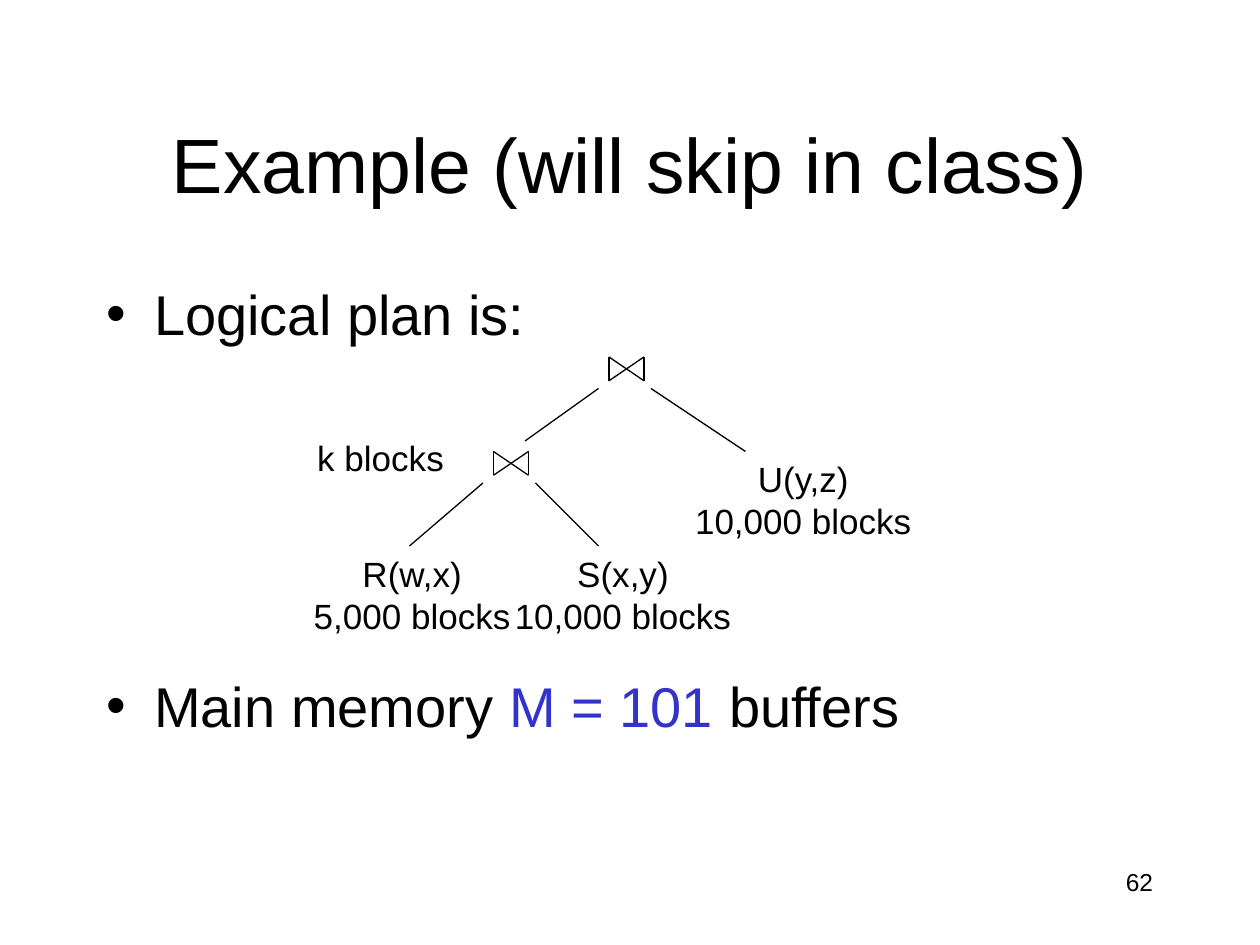
from lxml import etree
from pptx import Presentation
from pptx.dml.color import RGBColor
from pptx.enum.shapes import MSO_CONNECTOR
from pptx.enum.text import MSO_ANCHOR, MSO_AUTO_SIZE, PP_ALIGN
from pptx.oxml.ns import qn
from pptx.util import Pt

BLACK = RGBColor(0x00, 0x00, 0x00)
BLUE = RGBColor(0x33, 0x33, 0xCC)
STRAIGHT = MSO_CONNECTOR.STRAIGHT
LEFT, CENTER, RIGHT = PP_ALIGN.LEFT, PP_ALIGN.CENTER, PP_ALIGN.RIGHT
TOP, MIDDLE = MSO_ANCHOR.TOP, MSO_ANCHOR.MIDDLE
FIT_SHAPE = MSO_AUTO_SIZE.SHAPE_TO_FIT_TEXT


class SlideBuilder:
    font_name = "Arial"
    line_width = 0.75
    bullet_indent = 27
    join_width, join_height = 20, 13.6

    def __init__(self, slide):
        self.slide = slide

    def format_run(self, run, size, color=BLACK):
        run.font.name = self.font_name
        run.font.size = Pt(size)
        run.font.color.rgb = color

    def text(self, box, text, size, align=LEFT, anchor=TOP):
        shape = self.slide.shapes.add_textbox(*map(Pt, box))
        frame = shape.text_frame
        frame.word_wrap = True
        frame.vertical_anchor = anchor
        frame.text = text
        for paragraph in frame.paragraphs:
            paragraph.alignment = align
            for run in paragraph.runs:
                self.format_run(run, size)
        return frame

    def label(self, box, text, size):
        """Centred text in a box that grows with it instead of wrapping."""
        frame = self.text(box, text, size, CENTER)
        frame.word_wrap = False
        frame.auto_size = FIT_SHAPE

    def bullets(self, box, items, size):
        """Each item is (space before, [(text, color), ...])."""
        frame = self.text(box, "", size)
        for index, (space, parts) in enumerate(items):
            paragraph = frame.add_paragraph() if index else frame.paragraphs[0]
            paragraph.space_before = Pt(space)
            for text, color in parts:
                run = paragraph.add_run()
                run.text = text
                self.format_run(run, size, color)
            properties = paragraph._p.get_or_add_pPr()
            properties.set("marL", str(Pt(self.bullet_indent)))
            properties.set("indent", str(-Pt(self.bullet_indent)))
            etree.SubElement(properties, qn("a:buFont"), typeface=self.font_name)
            etree.SubElement(properties, qn("a:buChar"), char="•")
            paragraph.font.size = Pt(size)

    def line(self, start, end, shapes=None):
        shapes = self.slide.shapes if shapes is None else shapes
        connector = shapes.add_connector(STRAIGHT, *map(Pt, (*start, *end)))
        connector.line.color.rgb = BLACK
        connector.line.width = Pt(self.line_width)
        etree.SubElement(connector._element.spPr, qn("a:effectLst"))

    def join(self, left, top):
        """Draw the bow-tie join symbol as one group."""
        group = self.slide.shapes.add_group_shape()
        right, bottom = left + self.join_width, top + self.join_height
        corners = [(left, top), (right, bottom), (right, top), (left, bottom)]
        for start, end in zip(corners, corners[1:] + corners[:1]):
            self.line(start, end, group.shapes)


presentation = Presentation()
presentation.slide_width, presentation.slide_height = Pt(720), Pt(540)
builder = SlideBuilder(presentation.slides.add_slide(presentation.slide_layouts[6]))

# Title, bullets and slide number
builder.text((516, 492, 150, 36), "62", 14, RIGHT)
builder.text((54, 48, 612, 90), "Example (will skip in class)", 44, CENTER, MIDDLE)
builder.bullets((54, 156, 612, 324), [
    (4, [("Logical plan is:", BLACK)]),
    (186, [("Main memory ", BLACK), ("M = 101 ", BLUE), ("buffers", BLACK)]),
], 32)

# Join operators of the plan tree
for left, top in [(348, 204), (282, 258)]:
    builder.join(left, top)

# Relations and sizes
for box, label in [
    ((171, 312, 129, 55.4), "R(w,x)\n5,000 blocks"),
    ((286, 312, 140, 55.4), "S(x,y)\n10,000 blocks"),
    ((389, 258, 140, 55.4), "U(y,z)\n10,000 blocks"),
    ((173.5, 246, 88, 31), "k blocks"),
]:
    builder.label(box, label, 20)

# Tree branches
for start, end in [
    ((342, 222), (300, 252)),
    ((372, 222), (426, 258)),
    ((276, 276), (234, 312)),
    ((306, 276), (342, 312)),
]:
    builder.line(start, end)

presentation.save("out.pptx")
